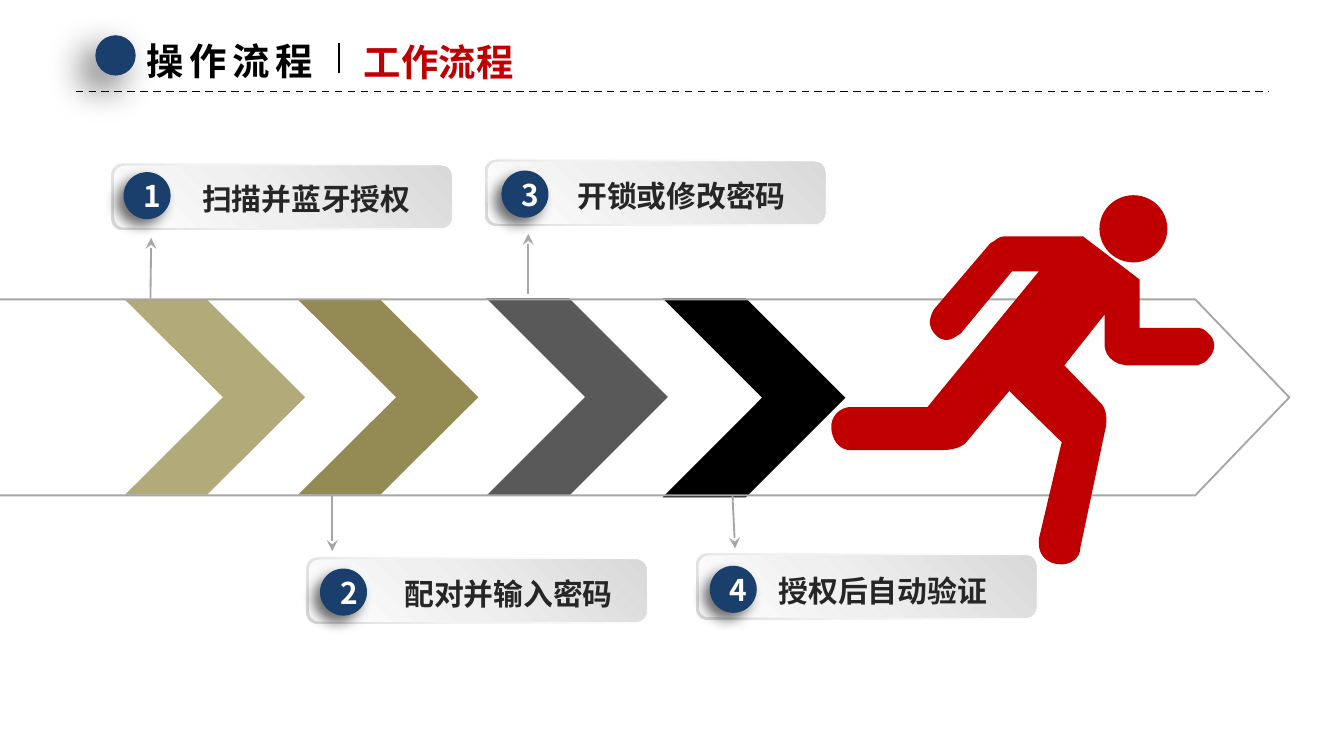
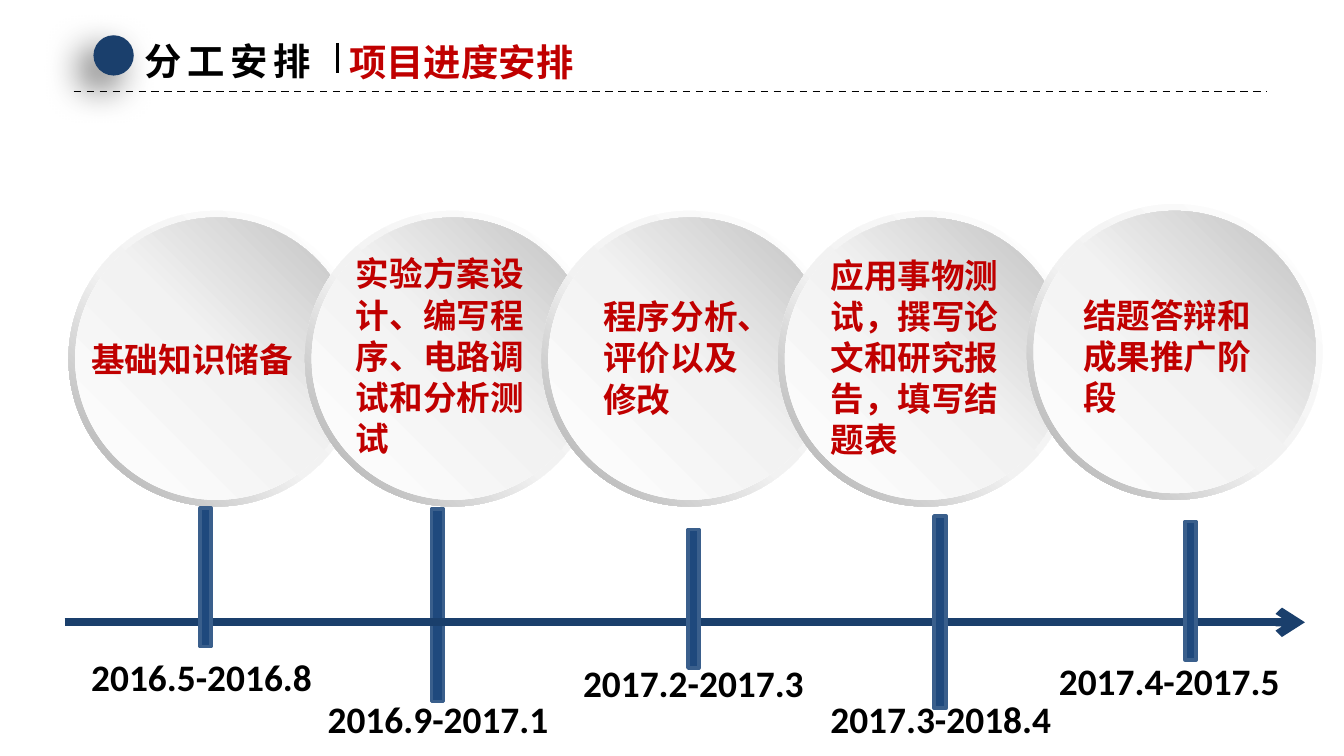
from dataclasses import dataclass

from lxml.etree import SubElement
from pptx import Presentation
from pptx.dml.color import RGBColor
from pptx.enum.dml import MSO_LINE
from pptx.enum.shapes import MSO_CONNECTOR, MSO_SHAPE
from pptx.enum.text import MSO_ANCHOR, MSO_AUTO_SIZE, PP_ALIGN
from pptx.oxml.ns import qn
from pptx.util import Pt

CJK, LATIN = "Noto Sans CJK SC", "Calibri"
NAVY, RED, BLACK, WHITE = "1A3F6C", "C00000", "000000", "FFFFFF"
BAR, BAR_EDGE, GREY, INK = "1F497D", "3A5F8C", "A6A6A6", "262626"
CJK_LEADING = 1.22

Point = tuple[float, float]
Box = tuple[float, float, float, float]


@dataclass(frozen=True)
class Gradient:
    """Stops are (percent, colour); the angle runs clockwise."""
    stops: tuple[tuple[int, str], ...]
    angle: int


@dataclass(frozen=True)
class Shadow:
    alpha: int
    blur: float
    distance: float
    angle: int = 135


@dataclass(frozen=True)
class Step:
    number: str
    caption: str
    card: Point
    badge: Point
    caption_box: Box
    tip: Point
    tail: Point


@dataclass(frozen=True)
class Stage:
    task: str
    dates: str
    circle: Point
    task_box: Box
    dates_at: Point
    bar: Box
    wrap: bool = True


CARD_RIM = Gradient(((0, WHITE), (62, "F2F2F2"), (100, "D9D9D9")), 135)
CARD_FACE = Gradient(((0, WHITE), (42, "F0F0F0"), (100, "D9D9D9")), 315)
CIRCLE_RIM = Gradient(((0, WHITE), (55, "F2F2F2"), (100, GREY)), 135)
CIRCLE_FACE = Gradient(((0, WHITE), (51, "F2F2F2"), (100, "BFBFBF")), 315)
HEADER_SHADOW = Shadow(60, 20, 10)
BADGE_SHADOW = Shadow(57, 7, 5)

CHEVRONS = (
    ((67, 160.6, 96.5, 104.4), "B3AA7A"),
    ((159.8, 160.6, 96.5, 104.4), "948A54"),
    ((260.6, 159.8, 97.2, 105.8), "595959"),
    ((355, 159.8, 97.9, 106.6), BLACK),
)

STEPS = (
    Step("1", "扫描并蓝牙授权", (59.8, 87.8), (66.2, 92.2),
         (86.4, 96.5, 155.5, 20.9), (81, 127.4), (80.6, 159.8)),
    Step("2", "配对并输入密码", (164.2, 298.8), (171.4, 304.6),
         (199.4, 308.2, 146.2, 20.9), (178, 295.2), (178, 265.7)),
    Step("3", "开锁或修改密码", (259.9, 85.7), (268.6, 91.4),
         (290.2, 95, 149.8, 20.9), (283, 125.3), (283, 157.7)),
    Step("4", "授权后自动验证", (373, 296.6), (380.2, 303.1),
         (395.3, 306.7, 155.5, 20.9), (393.8, 293.8), (392.4, 265.7)),
)

STAGES = (
    Stage("基础知识储备", "2016.5-2016.8", (36.7, 113),
          (41.8, 177.8, 122.4, 30.2), (41.8, 347), (107.3, 272.2, 5.8, 74.2), False),
    Stage("实验方案设计、编写程序、电路调试和分析测试", "2016.9-2017.1", (163.4, 113),
          (183.6, 131.8, 110.2, 116.6), (168.5, 369.4), (231.1, 272.9, 6.5, 103)),
    Stage("程序分析、评价以及修改", "2017.2-2017.3", (290.2, 113),
          (316.1, 154.8, 98.6, 73.4), (305.3, 349.9), (368.6, 283.7, 5.8, 74.2)),
    Stage("应用事物测试，撰写论文和研究报告，填写结题表", "2017.3-2018.4", (416.9, 113),
          (437.8, 132.5, 112.3, 116.6), (437.8, 369.4), (500.4, 276.5, 6.5, 103)),
    Stage("结题答辩和成果推广阶段", "2017.4-2017.5", (550.1, 109.4),
          (573.1, 154.1, 121.7, 73.4), (560.2, 349.2), (635, 279.4, 5.8, 74.2)),
)

# Two numbers draw a straight side, six a Bézier curve.
RUNNER = (
    (454.3, 218.2), (496.8, 218.2), (556.6, 145.4), (542.2, 145.4), (514.8, 178.6),
    (512.6, 180, 509.8, 182.2, 506.9, 182.2),
    (502.6, 182.2, 498.2, 177.1, 498.2, 172.8),
    (498.2, 169.9, 499.7, 166.3, 501.1, 164.9),
    (530.6, 130.3), (533.5, 128.9, 535, 126.7, 537.8, 126.7),
    (580.3, 126.7), (610.6, 149.8), (610.6, 175.7), (641.5, 175.7),
    (644.4, 175.7, 645.8, 177.1, 647.3, 178.6),
    (651.6, 182.2, 651.6, 187.9, 647.3, 192.2),
    (645.8, 194.4, 644.4, 194.4, 641.5, 195.8),
    (603.4, 195.8), (591.8, 194.4, 591.8, 185, 591.8, 185),
    (591.8, 168.5), (570.2, 195.8), (590.4, 216.7),
    (590.4, 216.7, 594.7, 221.8, 591.8, 231.8),
    (578.9, 293), (578.9, 299.5, 573.1, 302.4, 568.8, 302.4),
    (560.9, 302.4, 556.6, 297.4, 556.6, 291.6),
    (556.6, 288.7), (568.8, 236.9), (540.7, 209.5), (517.7, 236.9),
    (517.7, 236.9, 514.8, 241.2, 504, 241.2),
    (455.8, 241.2), (451.4, 241.2, 447.1, 238.3, 445.7, 231.8),
    (444.2, 226.1, 447.1, 219.6, 454.3, 218.2),
)


def rgb(color: str) -> RGBColor:
    return RGBColor.from_string(color)


def place(shape, box: Box) -> None:
    shape.left, shape.top, shape.width, shape.height = map(Pt, box)


def paint(shape, fill: str | Gradient | None, line: str | None = None,
          width: float = 1, shadow: Shadow | None = None) -> None:
    if isinstance(fill, Gradient):
        shape.fill.gradient()
        shape.fill.gradient_angle = 360 - fill.angle
        stops = shape.element.spPr.find(qn("a:gradFill")).find(qn("a:gsLst"))
        for stop in list(stops):
            stops.remove(stop)
        for percent, color in fill.stops:
            stop = SubElement(stops, qn("a:gs"), pos=str(percent * 1000))
            SubElement(stop, qn("a:srgbClr"), val=color)
    elif fill:
        shape.fill.solid()
        shape.fill.fore_color.rgb = rgb(fill)
    else:
        shape.fill.background()
    if line:
        shape.line.color.rgb = rgb(line)
        shape.line.width = Pt(width)
    else:
        shape.line.fill.background()
    shape.shadow.inherit = False
    if shadow:
        effects = shape.element.spPr.find(qn("a:effectLst"))
        outer = SubElement(effects, qn("a:outerShdw"), blurRad=str(Pt(shadow.blur)),
                           dist=str(Pt(shadow.distance)), dir=str(shadow.angle * 60000),
                           algn="ctr", rotWithShape="0")
        color = SubElement(outer, qn("a:srgbClr"), val=BLACK)
        SubElement(color, qn("a:alpha"), val=str(shadow.alpha * 1000))


def add_figure(slide, kind: MSO_SHAPE, box: Box, fill: str | Gradient | None,
               adjust: float | None = None, **style):
    figure = slide.shapes.add_shape(kind, *map(Pt, box))
    if adjust is not None:
        figure.adjustments[0] = adjust
    paint(figure, fill, **style)
    return figure


def add_line(slide, start: Point, end: Point, color: str, width: float = 1,
             dash: MSO_LINE | None = None, head: str = "", tail: str = "") -> None:
    line = slide.shapes.add_connector(MSO_CONNECTOR.STRAIGHT, *map(Pt, start + end))
    line.line.color.rgb = rgb(color)
    line.line.width = Pt(width)
    if dash:
        line.line.dash_style = dash
    for tag, arrow in (("a:headEnd", head), ("a:tailEnd", tail)):
        if arrow:
            SubElement(line.line._get_or_add_ln(), qn(tag), type=arrow)
    SubElement(line.element.spPr, qn("a:effectLst"))


def write(shape, text: str, size: float, color: str, font: str = CJK,
          align: PP_ALIGN = PP_ALIGN.LEFT, anchor: MSO_ANCHOR = MSO_ANCHOR.TOP,
          wrap: bool = True, grow: bool = True, inset: Point = (7.2, 3.6),
          tracking: float = 0) -> None:
    frame = shape.text_frame
    frame.word_wrap = wrap
    frame.auto_size = MSO_AUTO_SIZE.SHAPE_TO_FIT_TEXT if grow else MSO_AUTO_SIZE.NONE
    frame.vertical_anchor = anchor
    frame.margin_left = frame.margin_right = Pt(inset[0])
    frame.margin_top = frame.margin_bottom = Pt(inset[1])
    paragraph = frame.paragraphs[0]
    paragraph.alignment = align
    if font == CJK:
        paragraph.line_spacing = Pt(round(size * CJK_LEADING, 1))
    run = paragraph.add_run()
    run.text = text
    run.font.size, run.font.bold, run.font.name = Pt(size), True, font
    run.font.color.rgb = rgb(color)
    properties = run.font._element
    SubElement(properties, qn("a:ea"), typeface=font)
    if tracking:
        properties.set("spc", str(round(tracking * 100)))


def add_text(slide, box: Box, text: str, size: float, color: str, **style) -> None:
    write(slide.shapes.add_textbox(*map(Pt, box)), text, size, color, **style)


def add_headed_slide(deck, section: str, topic: str, topic_left: float,
                     topic_width: float, shift: float = 0):
    slide = deck.slides.add_slide(deck.slide_layouts[5])
    add_line(slide, (40.5 + shift, 49), (679.7 + shift, 49), BLACK, dash=MSO_LINE.DASH)
    add_figure(slide, MSO_SHAPE.OVAL, (51.1 + shift, 18.9, 21.6, 21.6), NAVY,
               shadow=HEADER_SHADOW)
    title = slide.shapes.title
    place(title, (71.4 + shift, 16.6, 106.6, 33.1))
    write(title, section, 20, BLACK, wrap=False, tracking=3)
    add_text(slide, (topic_left, 17.3, topic_width, 33.1), topic, 20, RED, wrap=False)
    add_line(slide, (181.6 + shift, 23), (181.6 + shift, 38.9), BLACK, 1.5)
    return slide


def add_step(slide, step: Step) -> None:
    left, top = step.card
    add_figure(slide, MSO_SHAPE.ROUNDED_RECTANGLE, (left, top, 183.6, 35.3), CARD_RIM)
    add_figure(slide, MSO_SHAPE.ROUNDED_RECTANGLE,
               (left + 1.4, top + 1.1, 180.7, 33.1), CARD_FACE)
    badge = add_figure(slide, MSO_SHAPE.OVAL, (*step.badge, 25.2, 25.2), NAVY,
                       shadow=BADGE_SHADOW)
    write(badge, step.number, 16, WHITE, align=PP_ALIGN.CENTER,
          anchor=MSO_ANCHOR.MIDDLE, grow=False)
    add_text(slide, step.caption_box, step.caption, 16, INK,
             align=PP_ALIGN.CENTER, inset=(0, 0))
    add_line(slide, step.tip, step.tail, GREY, head="stealth")


def trace(outline: tuple[tuple[float, ...], ...], pieces: int = 8) -> list[Point]:
    """Turn straight sides and Bézier curves into the points of a polygon."""
    points = [outline[0]]
    for side in outline[1:]:
        if len(side) == 2:
            points.append(side)
            continue
        controls = (points[-1], side[:2], side[2:4], side[4:])
        for piece in range(1, pieces + 1):
            t = piece / pieces
            weights = ((1 - t) ** 3, 3 * t * (1 - t) ** 2, 3 * t * t * (1 - t), t ** 3)
            points.append(tuple(sum(w * c[axis] for w, c in zip(weights, controls))
                                for axis in (0, 1)))
    return points


def add_runner(slide) -> None:
    add_figure(slide, MSO_SHAPE.OVAL, (589, 104.6, 36.4, 36), RED)
    corners = [(Pt(x), Pt(y)) for x, y in trace(RUNNER)]
    builder = slide.shapes.build_freeform(*corners[0])
    builder.add_line_segments(corners[1:], close=True)
    paint(builder.convert_to_shape(), RED)


def add_stage(slide, stage: Stage) -> None:
    left, top = stage.circle
    add_figure(slide, MSO_SHAPE.DONUT, (left, top, 158.4, 158.4), CIRCLE_RIM, 0.049)
    add_figure(slide, MSO_SHAPE.OVAL, (left + 3.6, top + 3.6, 151.2, 151.2), CIRCLE_FACE)
    add_text(slide, stage.task_box, stage.task, 18, RED, wrap=stage.wrap)
    add_text(slide, (*stage.dates_at, 136.8, 31.7), stage.dates, 20, BLACK, font=LATIN)


def add_bars(slide, stages: tuple[Stage, ...]) -> None:
    for stage in stages:
        add_figure(slide, MSO_SHAPE.RECTANGLE, stage.bar, BAR, line=BAR_EDGE, width=2)


def build_workflow(deck) -> None:
    slide = add_headed_slide(deck, "操作流程", "工作流程", 187.9, 94.3)
    for box, color in CHEVRONS:
        add_figure(slide, MSO_SHAPE.CHEVRON, box, color, 0.544)
    add_figure(slide, MSO_SHAPE.PENTAGON, (-2.9, 160.4, 693.6, 105), None, 0.48, line=GREY)
    for step in STEPS:
        add_step(slide, step)
    add_runner(slide)


def build_schedule(deck) -> None:
    slide = add_headed_slide(deck, "分工安排", "项目进度安排", 180, 134.6, shift=-1)
    for stage in STAGES:
        add_stage(slide, stage)
    add_bars(slide, STAGES[1:2])
    add_line(slide, (34.6, 333.4), (699.1, 333.4), NAVY, 4.5, tail="arrow")
    add_bars(slide, STAGES[:1] + STAGES[2:])


def main() -> None:
    deck = Presentation()
    deck.slide_width, deck.slide_height = Pt(720), Pt(405)
    build_workflow(deck)
    build_schedule(deck)
    deck.save("out.pptx")


if __name__ == "__main__":
    main()
